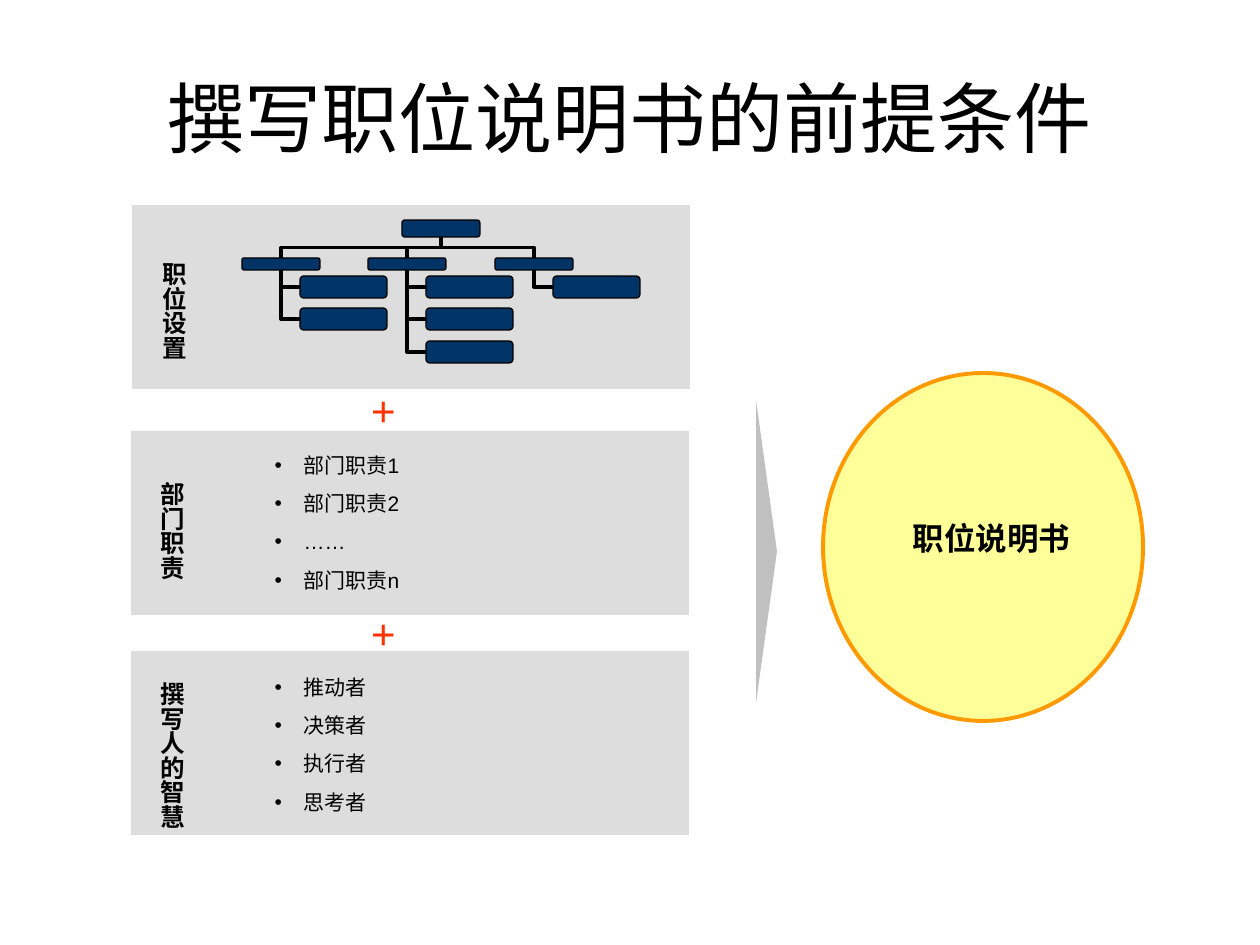
"""Build the slide on what a job description needs."""
from typing import Any, NamedTuple

import pptx
import pptx.dml.color
import pptx.enum.shapes
import pptx.enum.text
import pptx.oxml
import pptx.util

RGB = pptx.dml.color.RGBColor
KIND = pptx.enum.shapes.MSO_SHAPE
ELBOW = pptx.enum.shapes.MSO_CONNECTOR.ELBOW
ALIGN = pptx.enum.text.PP_ALIGN
FIT = pptx.enum.text.MSO_AUTO_SIZE
Pt = pptx.util.Pt

SCALE = 914400 / 126
FONT = "Arial"
BLACK = RGB(0x00, 0x00, 0x00)
GREY = RGB(0xDD, 0xDD, 0xDD)
SILVER = RGB(0xC0, 0xC0, 0xC0)
NAVY = RGB(0x00, 0x33, 0x66)
YELLOW = RGB(0xFF, 0xFF, 0x99)
ORANGE = RGB(0xFF, 0x99, 0x00)
RED = RGB(0xFF, 0x33, 0x00)
TOP, LEFT, BOTTOM = 0, 1, 2


class Box(NamedTuple):
    x: int
    y: int
    w: int
    h: int


class Panel(NamedTuple):
    area: Box
    label: str
    tag: Box
    lines: tuple[str, ...]
    body: Box | None


class Style(NamedTuple):
    size: int
    color: RGB = BLACK
    bold: bool = False


PANELS = (
    Panel(Box(132, 205, 558, 184), "职位设置", Box(140, 252, 49, 98), (), None),
    Panel(Box(131, 431, 558, 184), "部门职责", Box(138, 472, 49, 98),
          ("部门职责1", "部门职责2", "……", "部门职责n"), Box(262, 446, 336, 154)),
    Panel(Box(131, 651, 558, 184), "撰写人的智慧", Box(138, 672, 49, 147),
          ("推动者", "决策者", "执行者", "思考者"), Box(262, 668, 336, 154)),
)
PLUSES = (Box(294, 378, 179, 63), Box(294, 601, 179, 63))
ROOT = Box(402, 220, 78, 17)
KIDS = (2, 3, 1)


def px(num: float) -> int:
    return round(num * SCALE)


def emu(box: Box) -> tuple[int, ...]:
    return tuple(px(num) for num in box)


def place(shape: Any, box: Box) -> None:
    shape.left, shape.top, shape.width, shape.height = emu(box)


def shape(slide: Any, kind: Any, box: Box, fill: RGB,
          line: RGB | None = None, width: float = 0) -> Any:
    item = slide.shapes.add_shape(kind, *emu(box))
    item.shadow.inherit = False
    item.fill.solid()
    item.fill.fore_color.rgb = fill
    if line is None:
        item.line.fill.background()
    else:
        item.line.color.rgb = line
        item.line.width = Pt(width)
    return item


def write(para: Any, text: str, style: Style) -> None:
    run = para.add_run()
    run.text = text
    run.font.name = FONT
    run.font.size = Pt(style.size)
    run.font.bold = style.bold
    run.font.color.rgb = style.color


def label(slide: Any, box: Box, text: str, style: Style) -> Any:
    frame = slide.shapes.add_textbox(*emu(box)).text_frame
    frame.word_wrap = True
    frame.auto_size = FIT.SHAPE_TO_FIT_TEXT
    para = frame.paragraphs[0]
    para.alignment = ALIGN.CENTER
    write(para, text, style)
    return frame


def upright(slide: Any, box: Box, text: str) -> None:
    frame = label(slide, box, text, Style(14, bold=True))
    frame.word_wrap = False
    frame.margin_left = frame.margin_right = 0
    frame.margin_top = frame.margin_bottom = px(10)
    frame._txBody.bodyPr.set("vert", "eaVert")
    frame.paragraphs[0].alignment = ALIGN.LEFT
    frame.paragraphs[0].space_after = Pt(8.8)


def bullets(slide: Any, holder: Any, panel: Panel) -> None:
    place(holder, panel.body)
    slide.shapes._spTree.append(holder._element)
    frame = holder.text_frame
    frame.auto_size = FIT.SHAPE_TO_FIT_TEXT
    for row, text in enumerate(panel.lines):
        para = frame.add_paragraph() if row else frame.paragraphs[0]
        props = para._p.get_or_add_pPr()
        props.set("marL", str(px(29)))
        props.set("indent", str(px(-29)))
        para.space_before = Pt(7.5 if row else 0)
        write(para, text, Style(12))


def node(slide: Any, box: Box) -> Any:
    return shape(slide, KIND.ROUNDED_RECTANGLE, box, NAVY, BLACK, 0.75)


def link(slide: Any, start: Any, site: int, goal: Any) -> Any:
    line = slide.shapes.add_connector(ELBOW, 0, 0, 0, 0)
    line.begin_connect(start, site)
    line.end_connect(goal, BOTTOM)
    line.line.color.rgb = BLACK
    line.line.width = Pt(2.25)
    props = line._element.spPr
    props.append(props.makeelement(pptx.oxml.ns.qn("a:effectLst"), {}))
    return line


def rise(slide: Any, unit: Any, root: Any) -> None:
    line = link(slide, unit, TOP, root)
    right = line.begin_x > line.end_x
    wide, high = line.width, line.height
    midx, midy = line.left + wide // 2, line.top + high // 2
    line.left, line.top = midx - high // 2, midy - wide // 2
    line.width, line.height = high, wide
    frame = line._element.spPr.xfrm
    frame.set("rot", "16200000")
    frame.set("flipH", "0")
    frame.set("flipV", "1" if right else "0")


def branch(slide: Any, kid: Any, unit: Any) -> None:
    line = link(slide, kid, LEFT, unit)
    line._element.spPr.prstGeom.set("prst", "bentConnector2")


def chart(slide: Any) -> None:
    root = node(slide, ROOT)
    for col, count in enumerate(KIDS):
        x = 242 + col * 253 // 2
        unit = node(slide, Box(x, 258, 78, 12))
        rise(slide, unit, root)
        for row in range(count):
            kid = node(slide, Box(x + 58, 276 + row * 65 // 2, 87, 22))
            branch(slide, kid, unit)


def main() -> None:
    deck = pptx.Presentation()
    deck.slide_width, deck.slide_height = px(1260), px(945)
    slide = deck.slides.add_slide(deck.slide_layouts[3])
    title, *bodies = slide.placeholders
    place(title, Box(63, 38, 1134, 158))
    write(title.text_frame.paragraphs[0], "撰写职位说明书的前提条件", Style(44))
    holders = iter(bodies[:2])
    for panel in PANELS:
        shape(slide, KIND.RECTANGLE, panel.area, GREY)
        upright(slide, panel.tag, panel.label)
        if panel.body:
            bullets(slide, next(holders), panel)
    chart(slide)
    for box in PLUSES:
        label(slide, box, "+", Style(24, RED))
    arrow = shape(slide, KIND.ISOSCELES_TRIANGLE, Box(615, 541, 303, 21), SILVER)
    arrow.rotation = 90
    shape(slide, KIND.OVAL, Box(823, 373, 320, 348), YELLOW, ORANGE, 2.25)
    goal = label(slide, Box(892, 519, 199, 38), "职位说明书", Style(18, bold=True))
    goal.margin_top = goal.margin_bottom = 0
    goal.margin_left = goal.margin_right = px(10)
    deck.save("out.pptx")


if __name__ == "__main__":
    main()
